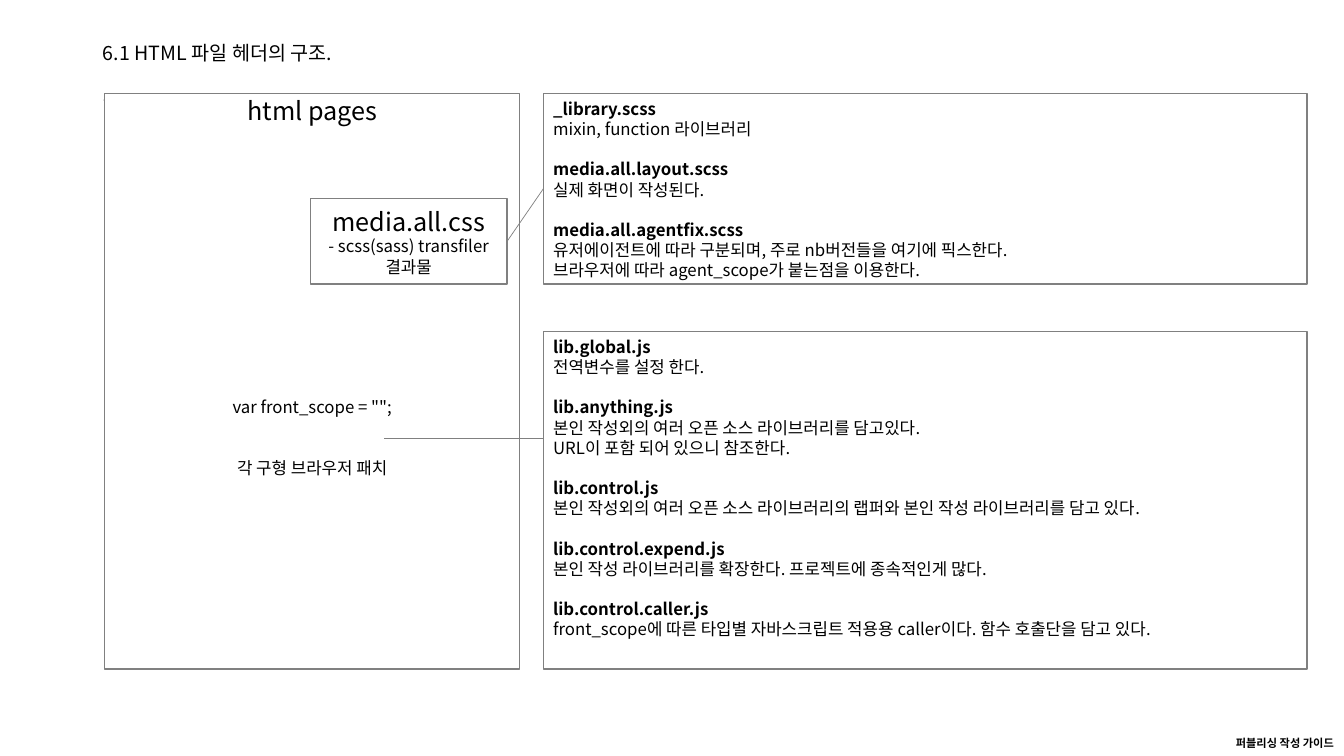
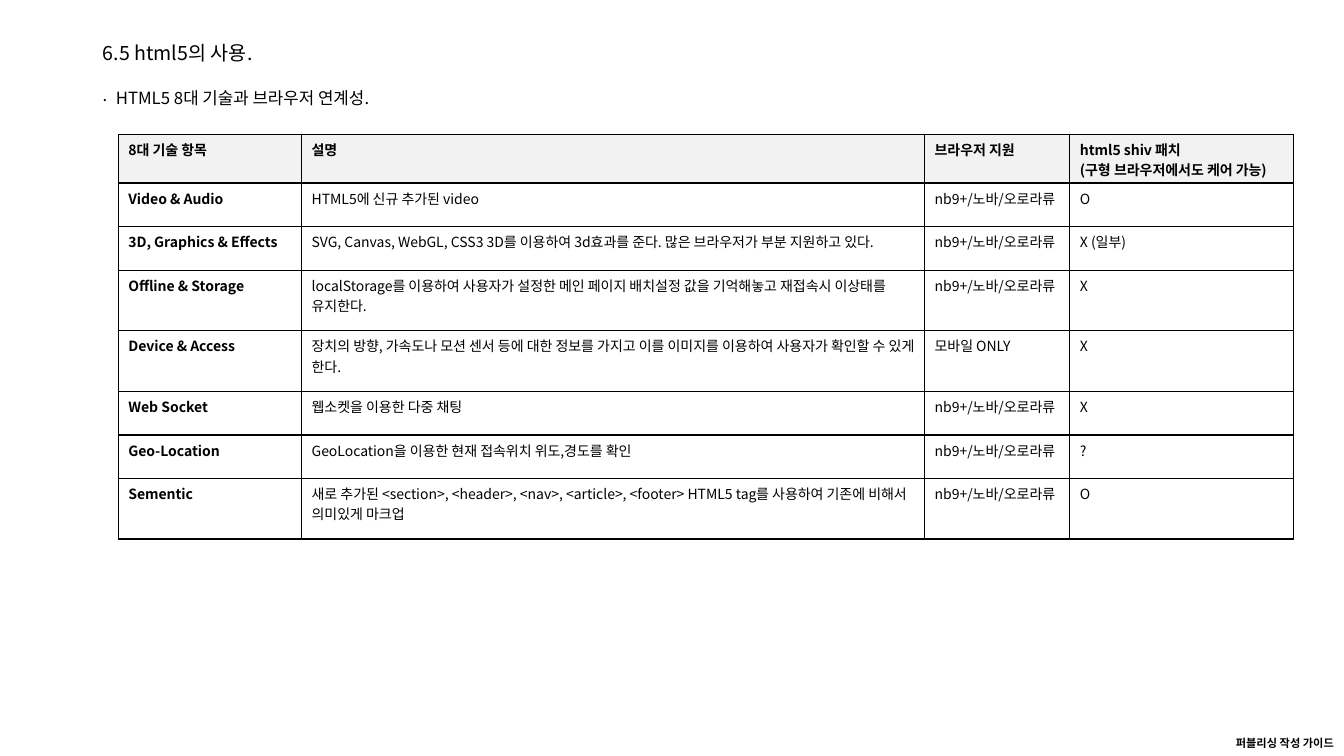
import pptx
import pptx.util
import pptx.dml.color
import pptx.enum.shapes
import pptx.enum.text
import pptx.oxml.ns
import lxml.etree

Cm = pptx.util.Cm
Pt = pptx.util.Pt
ALIGN = pptx.enum.text.PP_ALIGN
ANCHOR = pptx.enum.text.MSO_ANCHOR

FONT = "Noto Sans CJK KR"
BLACK, WHITE, GREY, HEADER_GREY = "000000", "FFFFFF", "808080", "F2F2F2"
SLIDE_W, SLIDE_H = 33.87, 19.05
LINE_HEIGHT = 14.4  # one line of 12 pt text, in points


def colour(hex_code):
    return pptx.dml.color.RGBColor.from_string(hex_code)


# ---- Text and drawing helpers; every box is (left, top, width, height) in cm

def style(paragraph, size, bold=False, align=ALIGN.LEFT):
    paragraph.alignment = align
    for run in paragraph.runs:
        run.font.name = FONT
        run.font.size = Pt(size)
        run.font.bold = bold
        run.font.color.rgb = colour(BLACK)
        east_asian = lxml.etree.SubElement(
            run.font._element, pptx.oxml.ns.qn("a:ea"))
        east_asian.set("typeface", FONT)


def add_text(slide, box, text, size, bold=False, align=ALIGN.LEFT,
             anchor=ANCHOR.TOP):
    label = slide.shapes.add_textbox(*map(Cm, box))
    frame = label.text_frame
    frame.word_wrap = True
    frame.vertical_anchor = anchor
    frame.text = text
    for paragraph in frame.paragraphs:
        style(paragraph, size, bold, align)
    return frame


def add_panel(slide, box, text, anchor, fill=None):
    panel = slide.shapes.add_shape(
        pptx.enum.shapes.MSO_SHAPE.RECTANGLE, *map(Cm, box))
    panel.shadow.inherit = False
    if fill:
        panel.fill.solid()
        panel.fill.fore_color.rgb = colour(fill)
    else:
        panel.fill.background()
    panel.line.color.rgb = colour(GREY)
    panel.line.width = Pt(1)
    frame = panel.text_frame
    frame.word_wrap = True
    frame.vertical_anchor = anchor
    frame.text = text
    return frame


def add_link(slide, start, end):
    link = slide.shapes.add_connector(
        pptx.enum.shapes.MSO_CONNECTOR.STRAIGHT, *map(Cm, start + end))
    link.line.color.rgb = colour(GREY)
    link.line.width = Pt(0.5)
    lxml.etree.SubElement(
        link._element.spPr, pptx.oxml.ns.qn("a:effectLst"))


# ---- Parts shared by the slides

def new_slide(deck, title):
    slide = deck.slides.add_slide(deck.slide_layouts[6])
    add_text(slide, (2.34, 2.01, 29.21, 0.76), ".", 12)
    add_text(slide, (0, 18.44, SLIDE_W, 0.61), "퍼블리싱 작성 가이드", 8,
             bold=True, align=ALIGN.RIGHT)
    heading = add_text(slide, (2.34, 1.02, 29.21, 0.69), title, 14,
                       anchor=ANCHOR.MIDDLE)
    heading.paragraphs[0].line_spacing = 0.9
    return slide


# ---- Slide 6.1: file header structure

SCSS_FILES = [
    ("_library.scss", ["mixin, function 라이브러리"]),
    ("media.all.layout.scss", ["실제 화면이 작성된다."]),
    ("media.all.agentfix.scss", [
        "유저에이전트에 따라 구분되며, 주로 nb버전들을 여기에 픽스한다.",
        "브라우저에 따라 agent_scope가 붙는점을 이용한다."]),
]
JS_FILES = [
    ("lib.global.js", ["전역변수를 설정 한다."]),
    ("lib.anything.js", [
        "본인 작성외의 여러 오픈 소스 라이브러리를 담고있다.",
        "URL이 포함 되어 있으니 참조한다."]),
    ("lib.control.js", [
        "본인 작성외의 여러 오픈 소스 라이브러리의 랩퍼와 "
        "본인 작성 라이브러리를 담고 있다."]),
    ("lib.control.expend.js", [
        "본인 작성 라이브러리를 확장한다. 프로젝트에 종속적인게 많다."]),
    ("lib.control.caller.js", [
        "front_scope에 따른 타입별 자바스크립트 적용용 caller이다. "
        "함수 호출단을 담고 있다."]),
]


def file_panel(slide, box, files):
    lines = [line for name, notes in files for line in [name] + notes]
    names = {name for name, _ in files}
    frame = add_panel(slide, box, "\n".join(lines), ANCHOR.TOP)
    for index, paragraph in enumerate(frame.paragraphs):
        is_name = paragraph.text in names
        style(paragraph, 12, bold=is_name)
        if is_name and index:
            paragraph.space_before = Pt(LINE_HEIGHT)


def html_page(slide, box):
    left, top, width, _ = box
    page = add_panel(slide, box, "html pages", ANCHOR.TOP, WHITE)
    page.margin_top = Cm(0.03)
    style(page.paragraphs[0], 18, align=ALIGN.CENTER)
    scripts = ['var front_scope = "";', "각 구형 브라우저 패치"]
    for index, script in enumerate(scripts):
        add_text(slide, (left, top + 7.52 + 1.52 * index, width, 0.76),
                 script, 12, align=ALIGN.CENTER)


def css_panel(slide, box):
    frame = add_panel(slide, box,
                      "media.all.css\n- scss(sass) transfiler 결과물",
                      ANCHOR.MIDDLE)
    for paragraph, size in zip(frame.paragraphs, (18, 12)):
        style(paragraph, size, align=ALIGN.CENTER)


def header_structure_slide(deck):
    slide = new_slide(deck, "6.1 HTML 파일 헤더의 구조.")
    page = (2.64, 2.36, 10.46, 14.5)
    css = (7.82, 5, 4.96, 2.16)
    scss = (13.69, 2.36, 19.25, 4.8)
    js = (13.69, 8.36, 19.25, 8.5)
    html_page(slide, page)
    file_panel(slide, js, JS_FILES)
    css_panel(slide, css)
    file_panel(slide, scss, SCSS_FILES)
    # Links from the page to its files
    script_y = page[1] + 8.69
    add_link(slide, (9.68, script_y), (js[0], script_y))
    add_link(slide, (css[0] + css[2], css[1] + css[3] / 2),
             (scss[0], scss[1] + scss[3] / 2))


# ---- Slide 6.5: html5 technologies

MODERN = "nb9+/노바/오로라류"
COLUMN_WIDTHS = [4.62, 15.7, 3.66, 5.64]
HEADER_H, SHORT_H, TALL_H = 1.22, 1.1, 1.52
TECHNOLOGIES = [
    (HEADER_H, "8대 기술 항목", "설명", "브라우저 지원",
     "html5 shiv 패치\n(구형 브라우저에서도 케어 가능)"),
    (SHORT_H, "Video & Audio", "HTML5에 신규 추가된 video", MODERN, "O"),
    (SHORT_H, "3D, Graphics & Effects",
     "SVG, Canvas, WebGL, CSS3 3D를 이용하여 3d효과를 준다. "
     "많은 브라우저가 부분 지원하고 있다.", MODERN, "X (일부)"),
    (TALL_H, "Offline & Storage",
     "localStorage를 이용하여 사용자가 설정한 메인 페이지 배치설정 값을 "
     "기억해놓고 재접속시 이상태를 유지한다.", MODERN, "X"),
    (TALL_H, "Device & Access",
     "장치의 방향, 가속도나 모션 센서 등에 대한 정보를 가지고 이를 이미지를 "
     "이용하여 사용자가 확인할 수 있게 한다.", "모바일 ONLY", "X"),
    (SHORT_H, "Web Socket", "웹소켓을 이용한 다중 채팅", MODERN, "X"),
    (SHORT_H, "Geo-Location",
     "GeoLocation을 이용한 현재 접속위치 위도,경도를 확인", MODERN, "?"),
    (TALL_H, "Sementic",
     "새로 추가된 <section>, <header>, <nav>, <article>, <footer> "
     "HTML5 tag를 사용하여 기존에 비해서 의미있게 마크업", MODERN, "O"),
]


def add_borders(cell):
    properties = cell._tc.get_or_add_tcPr()
    for side in ("a:lnL", "a:lnR", "a:lnT", "a:lnB"):
        border = lxml.etree.SubElement(
            properties, pptx.oxml.ns.qn(side), w=str(Pt(1)))
        fill = lxml.etree.SubElement(border, pptx.oxml.ns.qn("a:solidFill"))
        lxml.etree.SubElement(
            fill, pptx.oxml.ns.qn("a:srgbClr"), val=BLACK)


def technology_table(slide, left, top):
    height = sum(row[0] for row in TECHNOLOGIES)
    table = slide.shapes.add_table(
        len(TECHNOLOGIES), len(COLUMN_WIDTHS), Cm(left), Cm(top),
        Cm(sum(COLUMN_WIDTHS)), Cm(height)).table
    for column, width in zip(table.columns, COLUMN_WIDTHS):
        column.width = Cm(width)
    for r, (row_height, *texts) in enumerate(TECHNOLOGIES):
        table.rows[r].height = Cm(row_height)
        for c, text in enumerate(texts):
            cell = table.cell(r, c)
            add_borders(cell)
            cell.fill.solid()
            cell.fill.fore_color.rgb = colour(WHITE if r else HEADER_GREY)
            cell.text_frame.text = text
            for paragraph in cell.text_frame.paragraphs:
                style(paragraph, 10, bold=r == 0 or c == 0)


def html5_slide(deck):
    slide = new_slide(deck, "6.5 html5의 사용.")
    add_text(slide, (2.67, 2.08, 30.81, 0.76),
             "HTML5 8대 기술과 브라우저 연계성.", 12)
    technology_table(slide, 2.98, 3.39)


def main():
    deck = pptx.Presentation()
    deck.slide_width, deck.slide_height = Cm(SLIDE_W), Cm(SLIDE_H)
    header_structure_slide(deck)
    html5_slide(deck)
    deck.save("out.pptx")


if __name__ == "__main__":
    main()
